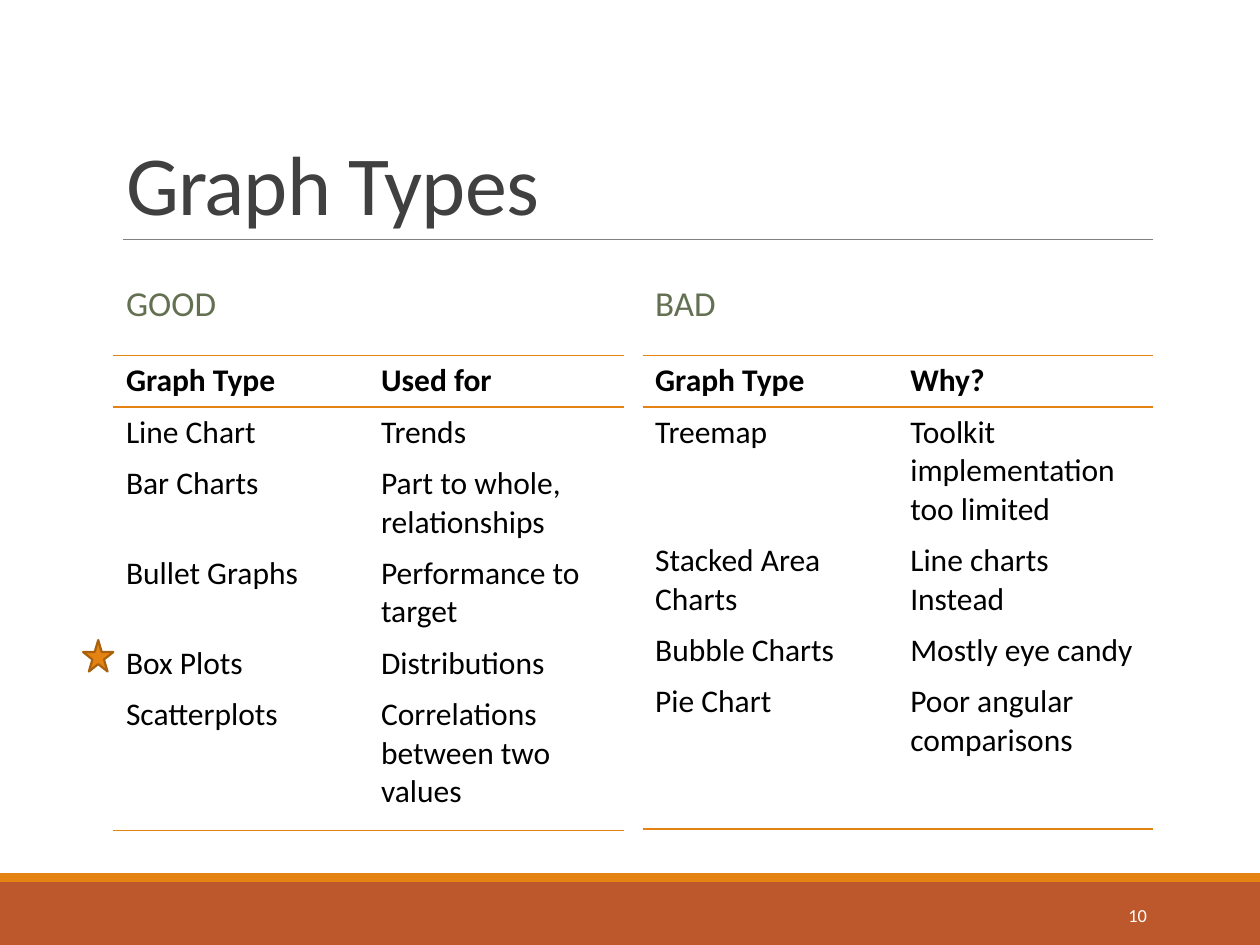
from dataclasses import dataclass

from lxml.etree import SubElement
from pptx import Presentation
from pptx.dml.color import RGBColor as RGB
from pptx.enum.shapes import MSO_CONNECTOR as CONNECTOR, MSO_SHAPE as SHAPE
from pptx.enum.text import MSO_ANCHOR as ANCHOR, MSO_AUTO_SIZE as AUTO, PP_ALIGN as ALIGN
from pptx.oxml.ns import qn
from pptx.util import Inches, Pt


@dataclass(frozen=True)
class Theme:
    font: str = "Calibri"
    orange: str = "E48312"
    rust: str = "BD582C"
    star_edge: str = "A9610D"
    rule: str = "808080"
    title: str = "404040"
    heading: str = "637052"
    ink: str = "000000"
    white: str = "FFFFFF"
    title_size: float = 48
    heading_size: float = 20
    cell_size: float = 18
    number_size: float = 10.5


THEME = Theme()
NO_GRID_STYLE = "{2D5ABB26-0587-4C30-8999-92F81FD0307C}"

GOOD_ROWS = [
    (0.41, "Graph Type", "Used for"),
    (0.41, "Line Chart", "Trends"),
    (0.71, "Bar Charts", "Part to whole, relationships"),
    (0.71, "Bullet Graphs", "Performance to target"),
    (0.41, "Box Plots", "Distributions"),
    (1.12, "Scatterplots", "Correlations between two values"),
]
BAD_ROWS = [
    (0.41, "Graph Type", "Why?"),
    (1.02, "Treemap", "Toolkit implementation too limited"),
    (0.71, "Stacked Area Charts", "Line charts Instead"),
    (0.41, "Bubble Charts", "Mostly eye candy"),
    (0.71, "Pie Chart", "Poor angular comparisons"),
    (0.5, "", ""),
]


def write(frame, text, size, color, bold=False, align=ALIGN.LEFT, anchor=None,
          line=None, before=0, after=0, tracking=None):
    frame.word_wrap = True
    if anchor is not None:
        frame.auto_size = AUTO.NONE
        frame.vertical_anchor = anchor
    paragraph = frame.paragraphs[0]
    paragraph.alignment = align
    paragraph.space_before, paragraph.space_after = Pt(before), Pt(after)
    if line:
        paragraph.line_spacing = line
    run = paragraph.add_run()
    run.text = text
    font = run.font
    font.name, font.size, font.bold = THEME.font, Pt(size), bold
    font.color.rgb = RGB.from_string(color)
    if tracking is not None:
        font._element.set("spc", str(int(tracking * 100)))


def place(shape, left, top, width, height):
    shape.left, shape.top = Inches(left), Inches(top)
    shape.width, shape.height = Inches(width), Inches(height)


def add_filled(slide, kind, box, fill, edge=None):
    shape = slide.shapes.add_shape(kind, *map(Inches, box))
    shape.shadow.inherit = False
    shape.fill.solid()
    shape.fill.fore_color.rgb = RGB.from_string(fill)
    if edge:
        shape.line.color.rgb = RGB.from_string(edge)
        shape.line.width = Pt(1.25)
    else:
        shape.line.fill.background()


def add_border(cell, side):
    line = SubElement(cell._tc.get_or_add_tcPr(), qn(f"a:{side}"), w=str(Pt(1)))
    fill = SubElement(line, qn("a:solidFill"))
    SubElement(fill, qn("a:srgbClr"), val=THEME.orange)


def add_footer(slide, left, top, width, height):
    stripe = 0.07
    add_filled(slide, SHAPE.RECTANGLE, (left, top + stripe, width, height - stripe), THEME.rust)
    add_filled(slide, SHAPE.RECTANGLE, (left, top, width, stripe), THEME.orange)
    number = slide.shapes.add_textbox(
        Inches(left + width - 1.88), Inches(top + 0.13), Inches(1.08), Inches(0.4))
    write(number.text_frame, "10", THEME.number_size, THEME.white,
          align=ALIGN.RIGHT, anchor=ANCHOR.MIDDLE)


def add_title(slide, left, top, width, height):
    title = slide.shapes.title
    place(title, left, top, width, height)
    write(title.text_frame, "Graph Types", THEME.title_size, THEME.title,
          anchor=ANCHOR.BOTTOM, line=0.85, tracking=-0.5)
    bottom = Inches(top + height)
    rule = slide.shapes.add_connector(
        CONNECTOR.STRAIGHT, Inches(left + 0.08), bottom, Inches(left + width), bottom)
    rule.line.color.rgb = RGB.from_string(THEME.rule)
    rule.line.width = Pt(0.5)
    SubElement(rule._element.spPr, qn("a:effectLst"))


def add_comparison(slide, heading, text, rows, left, top, width):
    # Heading above the table
    heading_height = 0.8
    place(heading, left, top, width, heading_height)
    write(heading.text_frame, text, THEME.heading_size, THEME.heading,
          anchor=ANCHOR.MIDDLE, line=0.9, after=2)

    # Table ruled above and below its header and under its last row
    frame = slide.shapes.add_table(
        len(rows), 2, Inches(left), Inches(top + heading_height), Inches(width),
        Inches(sum(row[0] for row in rows)))
    table = frame.table
    table.first_row = table.horz_banding = False
    table._tbl.tblPr.find(qn("a:tableStyleId")).text = NO_GRID_STYLE
    for index, (height, *entries) in enumerate(rows):
        table.rows[index].height = Inches(height)
        for cell, entry in zip(table.rows[index].cells, entries):
            write(cell.text_frame, entry, THEME.cell_size, THEME.ink, bold=index == 0)
            if index == 0:
                add_border(cell, "lnT")
            if index in (0, len(rows) - 1):
                add_border(cell, "lnB")
            cell.fill.background()


def main():
    deck = Presentation()
    deck.slide_width, deck.slide_height = Inches(10), Inches(7.5)
    slide = deck.slides.add_slide(deck.slide_layouts[4])
    _, good, good_content, bad, bad_content = slide.placeholders
    for unused in (good_content, bad_content):
        unused._element.getparent().remove(unused._element)

    left, width, gap, top = 0.9, 8.25, 0.15, 2.02
    column = (width - gap) / 2
    add_footer(slide, 0, 6.93, 10, 0.57)
    add_title(slide, left, 0.31, width, 1.59)
    add_comparison(slide, good, "GOOD", GOOD_ROWS, left, top, column)
    add_comparison(slide, bad, "BAD", BAD_ROWS, left + column + gap, top, column)

    # Star marking the box plots row
    add_filled(slide, SHAPE.STAR_5_POINT, (left - 0.24, 5.08, 0.24, 0.25),
               THEME.orange, THEME.star_edge)
    deck.save("out.pptx")


if __name__ == "__main__":
    main()
